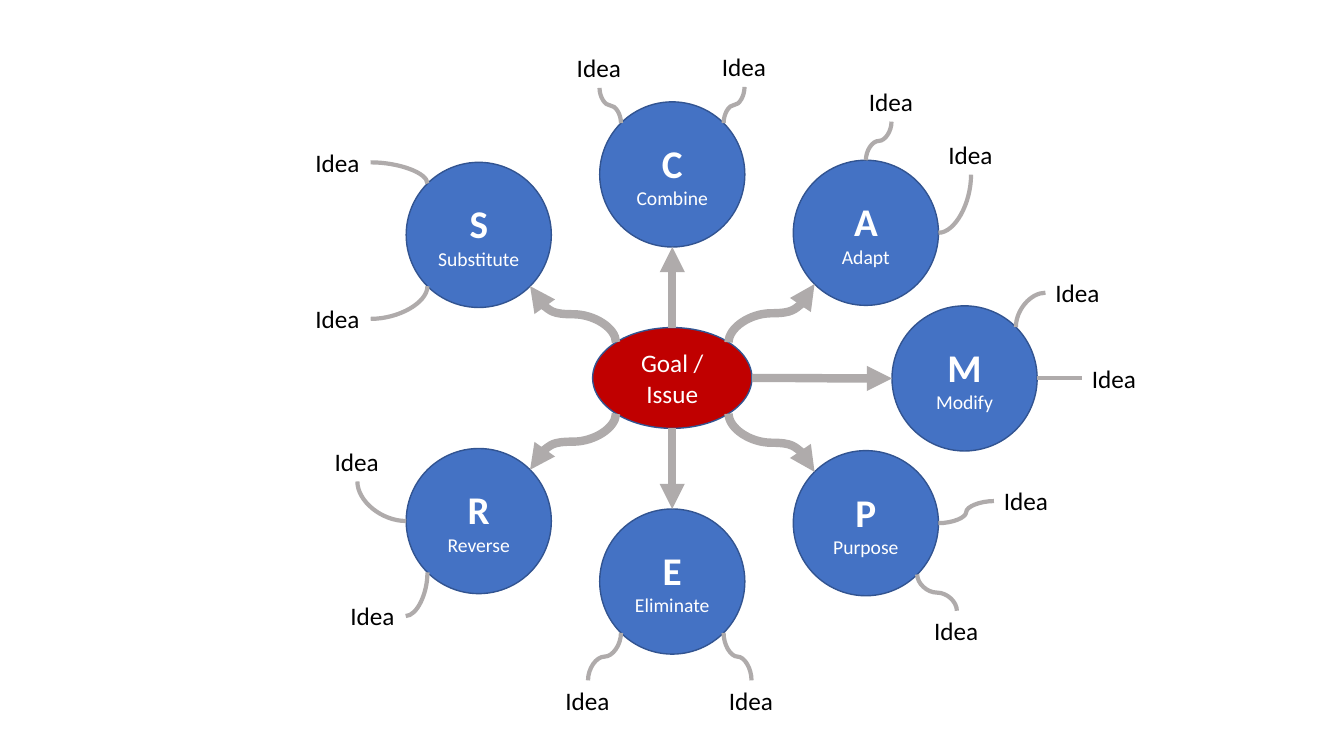
import math
from dataclasses import dataclass

from lxml import etree
from pptx import Presentation
from pptx.dml.color import RGBColor
from pptx.enum import shapes, text
from pptx.oxml import ns
from pptx.util import Pt

FONT = "Calibri"
WHITE, BLACK, RED, BLUE = "FFFFFF", "000000", "C00000", "4472C4"
OUTLINE, GREY = "325491", "AFABAB"
LABEL_W, LABEL_H = 46.6, 29


@dataclass(frozen=True)
class Oval:
    cx: float
    cy: float
    rx: float = 51.84
    ry: float = 51.84

    def site(self, angle: int) -> tuple[float, float]:
        """Point on the rim; degrees run clockwise from the right."""
        a = math.radians(angle)
        return self.cx + self.rx * math.cos(a), self.cy + self.ry * math.sin(a)


@dataclass(frozen=True)
class Step:
    word: str
    oval: Oval
    hub_angle: int  # where the spoke leaves the hub
    rim_angle: int  # where it reaches the step


@dataclass(frozen=True)
class Idea:
    step: str
    left: float
    top: float
    side: str  # label side where the curve starts
    rim_angle: int
    bends: int = 3

    def start(self) -> tuple[float, float]:
        fx, fy = {"left": (0, 0.5), "right": (1, 0.5),
                  "top": (0.5, 0), "bottom": (0.5, 1)}[self.side]
        return self.left + fx * LABEL_W, self.top + fy * LABEL_H


HUB = Oval(480.2, 270, 56.9, 36)
STEPS = {
    "S": Step("Substitute", Oval(342, 167.8), 225, 45),
    "C": Step("Combine", Oval(480.2, 124.6), 270, 90),
    "A": Step("Adapt", Oval(618.5, 166.3), 315, 135),
    "M": Step("Modify", Oval(689, 270.3), 0, 180),
    "P": Step("Purpose", Oval(618.5, 373.7), 45, 225),
    "E": Step("Eliminate", Oval(480.2, 415.4), 90, 270),
    "R": Step("Reverse", Oval(342, 372.2), 135, 315),
}
IDEAS = [
    Idea("S", 218.2, 101.5, "right", 315 - 90, 2),
    Idea("S", 218.2, 213.3, "right", 135, 2),
    Idea("C", 404.9, 33.8, "bottom", 225),
    Idea("C", 508.5, 33.1, "bottom", 315),
    Idea("A", 613.5, 57.9, "bottom", 270),
    Idea("A", 670.3, 95.8, "bottom", 0, 2),
    Idea("M", 746.8, 194.6, "left", 315, 2),
    Idea("M", 772.8, 255.8, "left", 0),
    Idea("P", 710, 343.4, "left", 0),
    Idea("P", 660.2, 436.3, "top", 45),
    Idea("E", 396.7, 486, "top", 135),
    Idea("E", 513.5, 486, "top", 45),
    Idea("R", 243.2, 425.5, "right", 135, 2),
    Idea("R", 232, 314.9, "bottom", 180, 2),
]


def rgb(value: str) -> RGBColor:
    return RGBColor.from_string(value)


def format_runs(p, size: float, colour: str, bold: bool = False) -> None:
    for r in p.runs:
        r.font.name, r.font.size, r.font.bold = FONT, Pt(size), bold
        r.font.color.rgb = rgb(colour)


def add_oval(s, oval: Oval, fill: str, lines: list[tuple[str, float, bool]]):
    sp = s.shapes.add_shape(
        shapes.MSO_SHAPE.OVAL, Pt(oval.cx - oval.rx), Pt(oval.cy - oval.ry),
        Pt(2 * oval.rx), Pt(2 * oval.ry))
    sp.shadow.inherit = False
    sp.fill.solid()
    sp.fill.fore_color.rgb = rgb(fill)
    sp.line.color.rgb = rgb(OUTLINE)
    sp.line.width = Pt(1)
    tf = sp.text_frame
    tf.word_wrap = True
    tf.vertical_anchor = text.MSO_ANCHOR.MIDDLE
    tf.text = "\n".join(words for words, _, _ in lines)
    for p, (_, size, bold) in zip(tf.paragraphs, lines):
        p.alignment = text.PP_ALIGN.CENTER
        format_runs(p, size, WHITE, bold)
    return sp


def add_curve(s, start: tuple[float, float], end: tuple[float, float],
              width: float, vertical: bool, bends: int = 3,
              arrow: bool = False) -> None:
    """Draw a curve that leaves its start vertically or horizontally."""
    (x1, y1), (x2, y2) = start, end
    rotation = 0
    if vertical:  # swap the box's sides about its centre, then turn it
        cx, cy = (x1 + x2) / 2, (y1 + y2) / 2
        half_w, half_h = abs(y2 - y1) / 2, abs(x2 - x1) / 2
        right, down = x2 - x1 > -0.01, y2 > y1
        rotation = 270 if right == down else 90
        sx, sy = (1 if right else -1), (-1 if down else 1)
        x1, x2 = cx + sx * half_w, cx - sx * half_w
        y1, y2 = cy + sy * half_h, cy - sy * half_h
    c = s.shapes.add_connector(
        shapes.MSO_CONNECTOR.CURVE, Pt(x1), Pt(y1), Pt(x2), Pt(y2))
    c.line.color.rgb = rgb(GREY)
    c.line.width = Pt(width)
    sp_pr = c.element.spPr
    if rotation:
        sp_pr.find(ns.qn("a:xfrm")).set("rot", str(rotation * 60000))
    sp_pr.find(ns.qn("a:prstGeom")).set("prst", f"curvedConnector{bends}")
    if arrow:
        etree.SubElement(sp_pr.find(ns.qn("a:ln")), ns.qn("a:tailEnd"),
                         type="triangle")
    etree.SubElement(sp_pr, ns.qn("a:effectLst"))


def add_label(s, idea: Idea) -> None:
    sp = s.shapes.add_textbox(Pt(idea.left), Pt(idea.top),
                              Pt(LABEL_W), Pt(LABEL_H))
    tf = sp.text_frame
    tf.word_wrap = False
    tf.auto_size = text.MSO_AUTO_SIZE.SHAPE_TO_FIT_TEXT
    tf.text = "Idea"
    format_runs(tf.paragraphs[0], 18, BLACK)


def main() -> None:
    prs = Presentation()
    prs.slide_width, prs.slide_height = Pt(960), Pt(540)
    s = prs.slides.add_slide(prs.slide_layouts[6])

    # Hub and the seven steps
    add_oval(s, HUB, RED, [("Goal / Issue", 18, False)])
    for letter, step in STEPS.items():
        sp = add_oval(s, step.oval, BLUE,
                      [(letter, 28, True), (step.word, 14, False)])
        sp.text_frame.margin_left = sp.text_frame.margin_right = Pt(0)

    # Spokes from the hub
    for step in STEPS.values():
        add_curve(s, HUB.site(step.hub_angle), step.oval.site(step.rim_angle),
                  6, vertical=step.hub_angle != 0, arrow=True)

    # Ideas around the steps
    for idea in IDEAS:
        add_label(s, idea)
        add_curve(s, idea.start(), STEPS[idea.step].oval.site(idea.rim_angle),
                  3, idea.side in ("top", "bottom"), idea.bends)

    prs.save("out.pptx")


if __name__ == "__main__":
    main()
